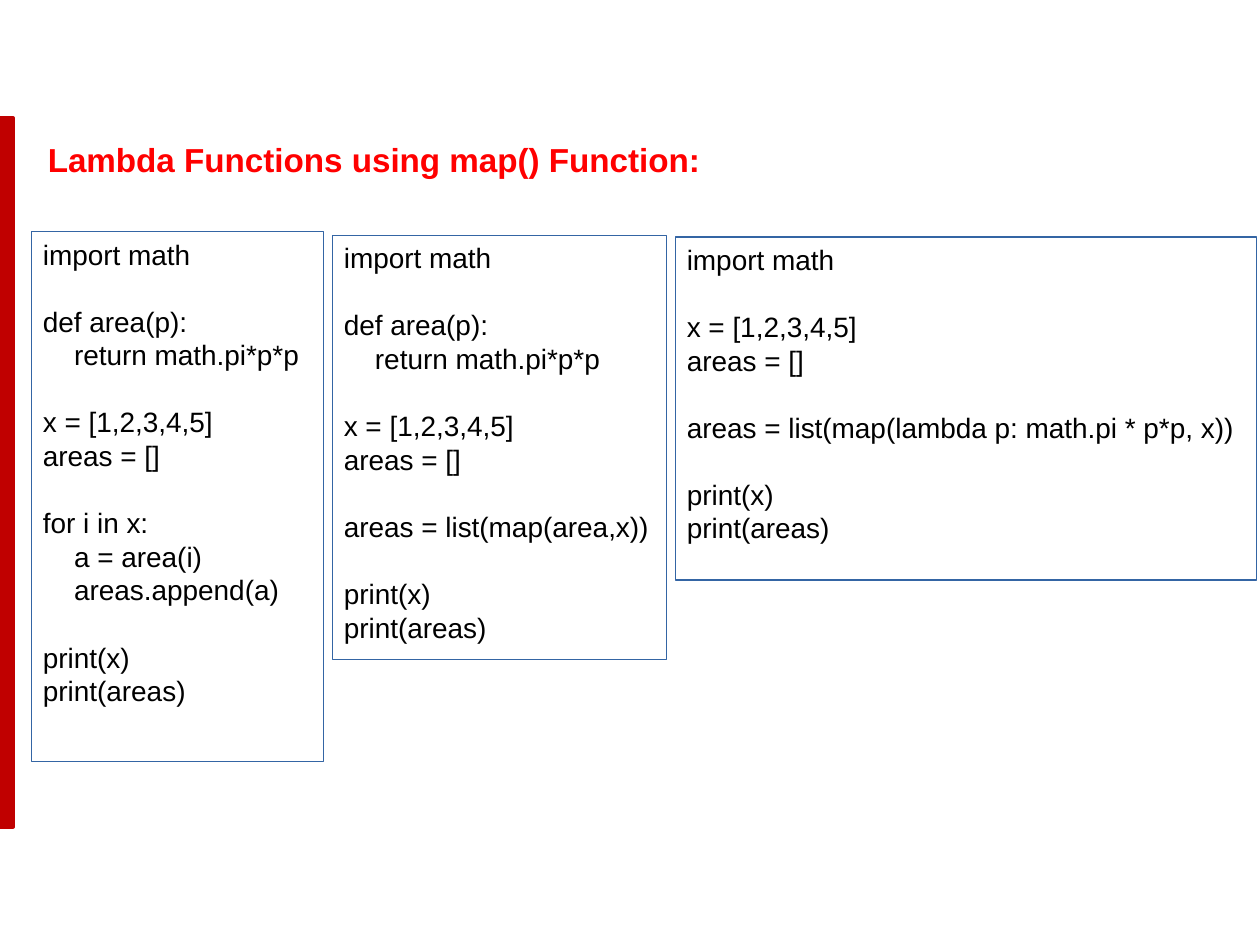
from dataclasses import dataclass

from pptx import Presentation
from pptx.dml.color import RGBColor
from pptx.enum.shapes import MSO_SHAPE
from pptx.enum.text import MSO_ANCHOR, PP_ALIGN
from pptx.util import Pt

RECT = MSO_SHAPE.RECTANGLE
TOP = MSO_ANCHOR.TOP
LEFT = PP_ALIGN.LEFT


@dataclass(frozen=True)
class Theme:
    font: str = "Arial"
    ink: str = "000000"
    title: str = "FF0000"
    bar: str = "C00000"
    edge: str = "3465A4"
    code_size: float = 16
    title_size: float = 19
    lead: float = 1.2  # line pitch as a multiple of type size
    indent: float = 17.8  # one code level


THEME = Theme()

# Code listings: a blank line parts two blocks, four spaces make one level
AREA = "import math\n\ndef area(p):\n    return math.pi*p*p\n\n"
DATA = "x = [1,2,3,4,5]\nareas = []\n\n"
SHOW = "\n\nprint(x)\nprint(areas)"
LOOP = AREA + DATA + "for i in x:\n    a = area(i)\n    areas.append(a)" + SHOW
MAP = AREA + DATA + "areas = list(map(area,x))" + SHOW
LAMBDA = ("import math\n\n" + DATA
          + "areas = list(map(lambda p: math.pi * p*p, x))" + SHOW)

# Left, top, width, height of each code panel
PANELS = [
    (LOOP, (18, 132.5, 167, 302.5)),
    (MAP, (190, 134.5, 191, 242.5)),
    (LAMBDA, (386, 135.5, 332, 196)),
]


def color(code):
    return RGBColor.from_string(code)


def put_text(frame, text, size=THEME.code_size, tint=THEME.ink, bold=False):
    """Fill a frame, turning blank lines and leading spaces into spacing."""
    frame.word_wrap = True
    frame.vertical_anchor = TOP
    frame.margin_left = frame.margin_right = Pt(6.5)
    frame.margin_top = frame.margin_bottom = Pt(3)
    pitch = Pt(size * THEME.lead)
    rows = [(row, block > 0 and i == 0)
            for block, part in enumerate(text.split("\n\n"))
            for i, row in enumerate(part.split("\n"))]
    for i, (row, gap) in enumerate(rows):
        para = frame.add_paragraph() if i else frame.paragraphs[0]
        para.alignment = LEFT
        para.line_spacing = pitch
        para.space_before = pitch if gap else Pt(0)
        code = row.lstrip(" ")
        level = (len(row) - len(code)) // 4
        if level:
            para._p.get_or_add_pPr().set("marL", str(Pt(level * THEME.indent)))
        run = para.add_run()
        run.text = code
        run.font.name = THEME.font
        run.font.size = Pt(size)
        run.font.bold = bold
        run.font.color.rgb = color(tint)


def add_box(slide, box, edge, width, fill=None):
    shape = slide.shapes.add_shape(RECT, *map(Pt, box))
    shape.shadow.inherit = False
    if fill:
        shape.fill.solid()
        shape.fill.fore_color.rgb = color(fill)
    else:
        shape.fill.background()
    shape.line.color.rgb = color(edge)
    shape.line.width = Pt(width)
    return shape


def set_title(slide, text, box):
    title = slide.shapes.title
    title.left, title.top, title.width, title.height = map(Pt, box)
    put_text(title.text_frame, text, size=THEME.title_size,
             tint=THEME.title, bold=True)


def main():
    deck = Presentation()
    deck.slide_width, deck.slide_height = Pt(720), Pt(540)
    slide = deck.slides.add_slide(deck.slide_layouts.get_by_name("Title Only"))

    # Code panels
    for code, box in PANELS:
        panel = add_box(slide, box, THEME.edge, 0.75)
        put_text(panel.text_frame, code)

    # Heading and side bar
    set_title(slide, "Lambda Functions using map() Function:",
              (20.8, 76.5, 405.5, 29))
    add_box(slide, (0, 67.5, 7.6, 405), THEME.bar, 2, fill=THEME.bar)

    deck.save("out.pptx")


if __name__ == "__main__":
    main()
